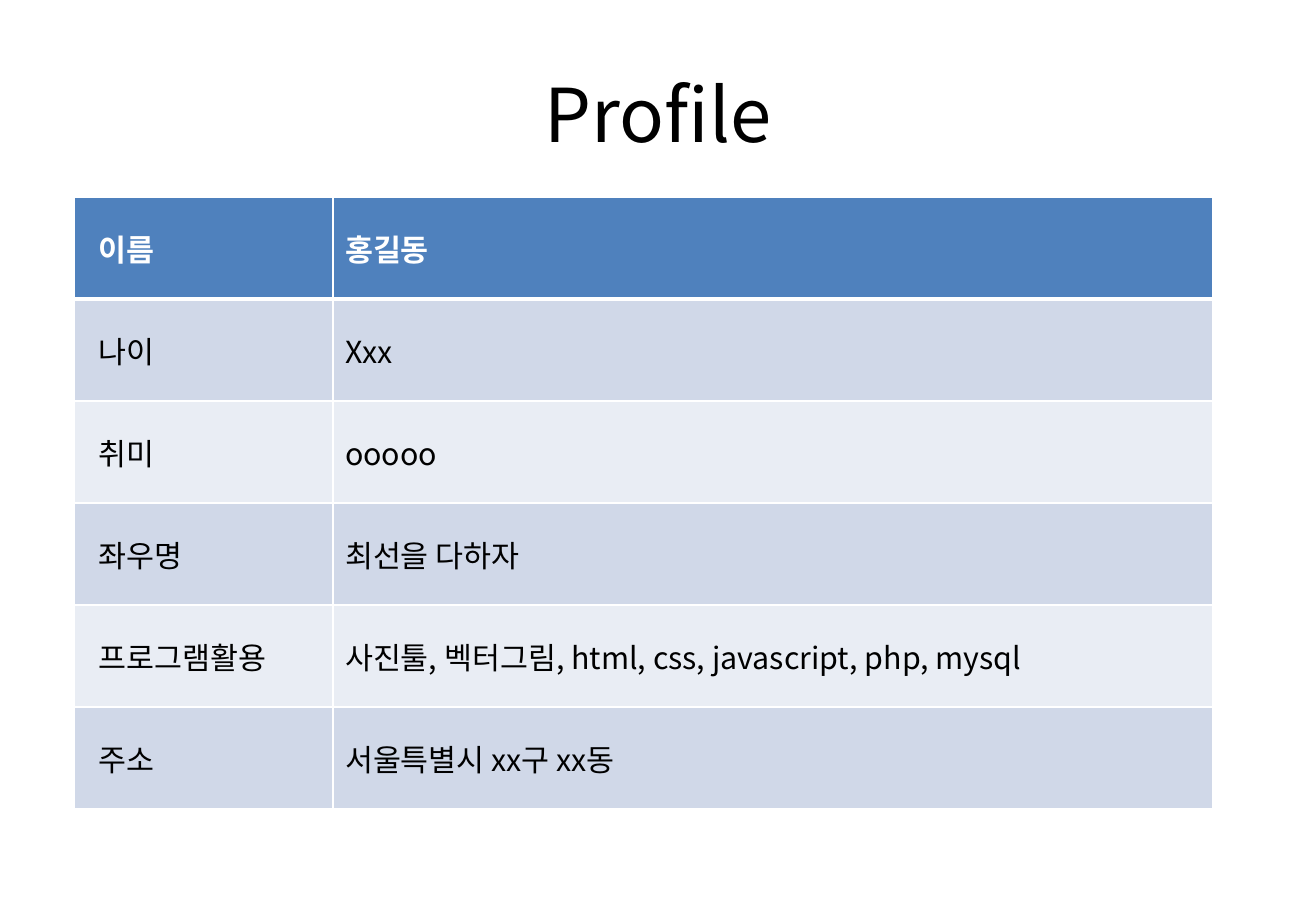
import pptx
import pptx.util
import pptx.oxml
import pptx.oxml.ns
import pptx.dml.color
import pptx.enum.text
from pptx.util import Inches

FONT = "Noto Sans CJK KR"
COLORS = {"header": "4F81BD", "dark band": "D0D8E8", "light band": "E9EDF4",
          "white": "FFFFFF", "black": "000000"}
PROFILE = [
    ("이름", "홍길동"),
    ("나이", "Xxx"),
    ("취미", "ooooo"),
    ("좌우명", "최선을 다하자"),
    ("프로그램활용", "사진툴, 벡터그림, html, css, javascript, php, mysql"),
    ("주소", "서울특별시 xx구 xx동"),
]
ALIGN = pptx.enum.text.PP_ALIGN
MIDDLE = pptx.enum.text.MSO_ANCHOR.MIDDLE


class ProfileSlide:
    """Holds the text style and the current slide."""

    def __init__(self, presentation):
        self.slide = presentation.slides.add_slide(presentation.slide_layouts[5])

    def color(self, name):
        return pptx.dml.color.RGBColor.from_string(COLORS[name])

    def style(self, paragraph, size, color, align, bold=False):
        paragraph.alignment = align
        for run in paragraph.runs:
            run.font.name = FONT
            run.font.size = pptx.util.Pt(size)
            run.font.bold = bold
            run.font.color.rgb = self.color(color)
            east_asian = pptx.oxml.parse_xml(
                f'<a:ea {pptx.oxml.ns.nsdecls("a")} typeface="{FONT}"/>')
            run.font.fill
            run._r.get_or_add_rPr().find(pptx.oxml.ns.qn("a:latin")).addnext(east_asian)

    def title(self, text, left, top, width, height):
        heading = self.slide.shapes.title
        heading.left, heading.top = Inches(left), Inches(top)
        heading.width, heading.height = Inches(width), Inches(height)
        heading.text_frame.text = text
        heading.text_frame.vertical_anchor = MIDDLE
        self.style(heading.text_frame.paragraphs[0], 44, "black", ALIGN.CENTER)

    def borders(self, cell, top, bottom):
        properties = cell._tc.get_or_add_tcPr()
        for side, points in (("L", 1), ("R", 1), ("T", top), ("B", bottom)):
            properties.append(pptx.oxml.parse_xml(
                f'<a:ln{side} {pptx.oxml.ns.nsdecls("a")} w="{pptx.util.Pt(points)}">'
                f'<a:solidFill><a:srgbClr val="{COLORS["white"]}"/></a:solidFill>'
                f'</a:ln{side}>'))

    def cell(self, cell, text, row, is_label):
        is_header = row == 0
        self.borders(cell, 3 if row == 1 else 1, 3 if is_header else 1)
        cell.fill.solid()
        band = "dark band" if row % 2 else "light band"
        cell.fill.fore_color.rgb = self.color("header" if is_header else band)
        cell.vertical_anchor = MIDDLE
        cell.margin_left = cell.margin_right = Inches(0.2 if is_label else 0.1)
        cell.text_frame.text = text
        self.style(cell.text_frame.paragraphs[0], 18,
                   "white" if is_header else "black",
                   ALIGN.JUSTIFY if is_label else ALIGN.LEFT, is_header)

    def table(self, rows, left, top, widths, height):
        table = self.slide.shapes.add_table(
            len(rows), len(widths), Inches(left), Inches(top),
            Inches(sum(widths)), Inches(height)).table
        for column, width in zip(table.columns, widths):
            column.width = Inches(width)
        for row, texts in enumerate(rows):
            for column, text in enumerate(texts):
                self.cell(table.cell(row, column), text, row, column == 0)


def main():
    presentation = pptx.Presentation()
    presentation.slide_width = Inches(10.83)
    presentation.slide_height = Inches(7.5)
    profile = ProfileSlide(presentation)
    profile.title("Profile", 0.54, 0.3, 9.75, 1.25)
    profile.table(PROFILE, 0.61, 1.62, (2.13, 7.24), 5.04)
    presentation.save("out.pptx")


if __name__ == "__main__":
    main()
